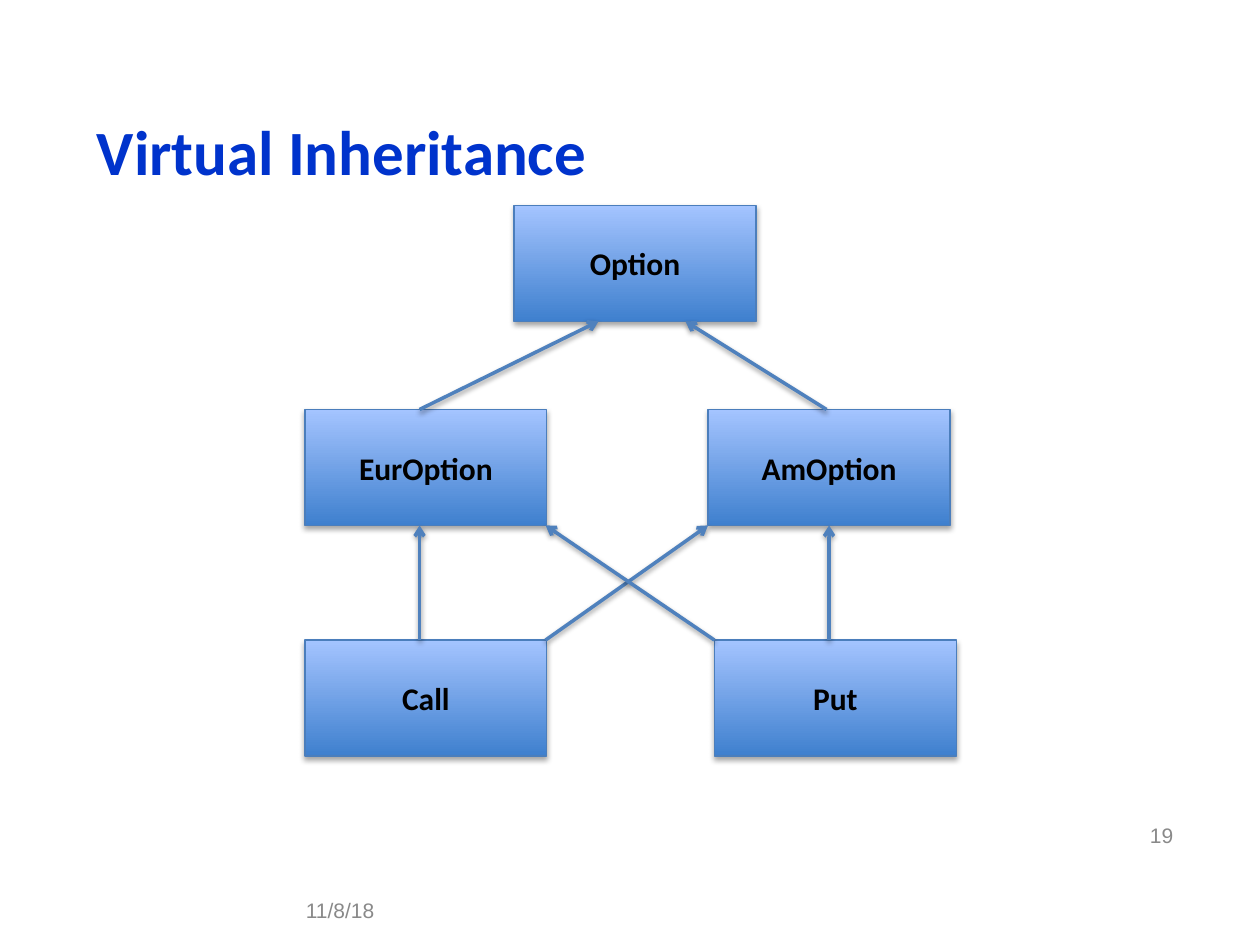
from lxml import etree
from pptx import Presentation
from pptx.dml.color import RGBColor
from pptx.enum.shapes import MSO_CONNECTOR, MSO_SHAPE
from pptx.enum.text import MSO_ANCHOR, PP_ALIGN
from pptx.oxml import parse_xml
from pptx.oxml.ns import nsdecls, qn
from pptx.util import Inches, Pt

RECTANGLE = MSO_SHAPE.RECTANGLE
STRAIGHT = MSO_CONNECTOR.STRAIGHT
MIDDLE = MSO_ANCHOR.MIDDLE
LEFT, CENTER, RIGHT = PP_ALIGN.LEFT, PP_ALIGN.CENTER, PP_ALIGN.RIGHT

COLORS = {
    "title": "0033CC",
    "footer": "898989",
    "box_bottom": "3F80CE",
    "box_top": "A4C4FF",
    "box_line": "4B7EBC",
    "arrow": "4F81BD",
    "text": "000000",
}
BOX_WIDTH, BOX_HEIGHT = 1.92, 0.92
TOP_ROW, MIDDLE_ROW, BOTTOM_ROW = 1.63, 3.25, 5.08


def write_text(shape, text, size, font, color, bold, alignment):
    text_frame = shape.text_frame
    text_frame.word_wrap = True
    text_frame.vertical_anchor = MIDDLE
    text_frame.text = text
    paragraph = text_frame.paragraphs[0]
    paragraph.alignment = alignment
    run = paragraph.runs[0]
    run.font.name = font
    run.font.size = Pt(size)
    run.font.bold = bold
    run.font.color.rgb = RGBColor.from_string(COLORS[color])


def add_shadow(shape, distance, opacity):
    shape._element.spPr.append(parse_xml(
        f'<a:effectLst {nsdecls("a")}>'
        f'<a:outerShdw blurRad="{Pt(3.1)}" dist="{Pt(distance)}" dir="5400000" rotWithShape="0">'
        f'<a:srgbClr val="000000"><a:alpha val="{opacity * 1000}"/></a:srgbClr>'
        '</a:outerShdw></a:effectLst>'
    ))


presentation = Presentation()
presentation.slide_width = Inches(10)
presentation.slide_height = Inches(7.5)
slide = presentation.slides.add_slide(presentation.slide_layouts[6])

labels = [
    ("Virtual Inheritance", 0.67, 0.75, 8.67, 0.88, 36, "Calibri", "title", True, LEFT),
    ("11/8/18", 2.33, 7.02, 1.17, 0.4, 12, "Arial", "footer", False, LEFT),
    ("19", 7.08, 6.43, 2.33, 0.4, 12, "Arial", "footer", False, RIGHT),
]
for text, left, top, width, height, size, font, color, bold, alignment in labels:
    label = slide.shapes.add_textbox(Inches(left), Inches(top), Inches(width), Inches(height))
    write_text(label, text, size, font, color, bold, alignment)

classes = [
    ("EurOption", 2.42, MIDDLE_ROW),
    ("AmOption", 5.62, MIDDLE_ROW),
    ("Call", 2.42, BOTTOM_ROW),
    ("Put", 5.67, BOTTOM_ROW),
    ("Option", 4.08, TOP_ROW),
]
for name, left, top in classes:
    box = slide.shapes.add_shape(
        RECTANGLE, Inches(left), Inches(top), Inches(BOX_WIDTH), Inches(BOX_HEIGHT))
    box.fill.gradient()
    box.fill.gradient_angle = 90
    for stop, position, color in zip(box.fill.gradient_stops, (0, 1), ("box_bottom", "box_top")):
        stop.position = position
        stop.color.rgb = RGBColor.from_string(COLORS[color])
    box.line.color.rgb = RGBColor.from_string(COLORS["box_line"])
    box.line.width = Pt(0.75)
    add_shadow(box, 1.8, 35)
    write_text(box, name, 18, "Calibri", "text", True, CENTER)

inheritance_arrows = [
    (6.58, BOTTOM_ROW, 6.58, MIDDLE_ROW),
    (4.33, BOTTOM_ROW, 5.62, MIDDLE_ROW),
    (5.67, BOTTOM_ROW, 4.33, MIDDLE_ROW),
    (3.33, BOTTOM_ROW, 3.33, MIDDLE_ROW),
    (3.33, MIDDLE_ROW, 4.75, TOP_ROW),
    (6.56, MIDDLE_ROW, 5.44, TOP_ROW),
]
for child_x, child_row, parent_x, parent_row in inheritance_arrows:
    arrow = slide.shapes.add_connector(
        STRAIGHT, Inches(child_x), Inches(child_row),
        Inches(parent_x), Inches(parent_row + BOX_HEIGHT))
    arrow.line.color.rgb = RGBColor.from_string(COLORS["arrow"])
    arrow.line.width = Pt(2)
    line = arrow._element.spPr.find(qn("a:ln"))
    etree.SubElement(line, qn("a:tailEnd"), type="arrow")
    add_shadow(arrow, 1.6, 38)

presentation.save("out.pptx")
